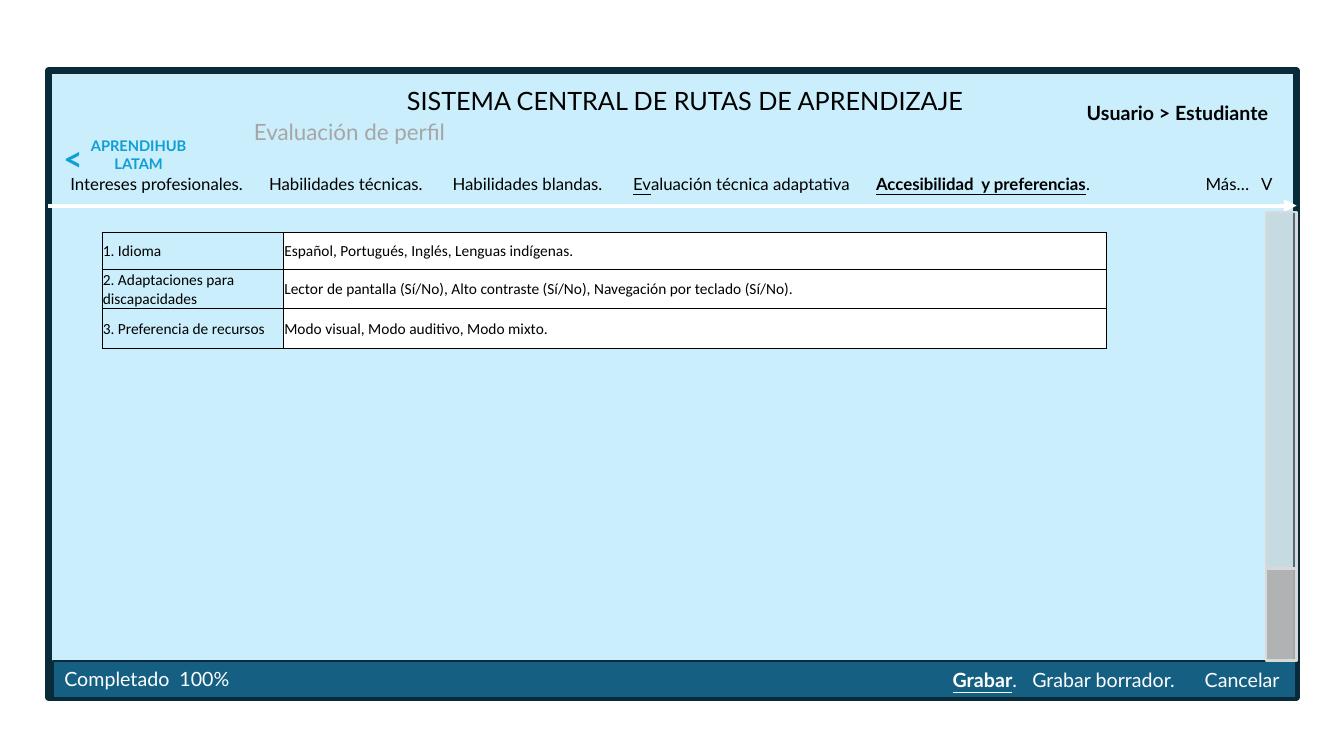
"""Build the accessibility and preferences screen of the learning-path system."""
from lxml import etree
from pptx import Presentation
from pptx.dml.color import RGBColor
from pptx.enum.shapes import MSO_CONNECTOR, MSO_SHAPE
from pptx.enum.text import MSO_ANCHOR, PP_ALIGN
from pptx.oxml.ns import qn
from pptx.util import Inches, Pt

RECTANGLE = MSO_SHAPE.RECTANGLE
STRAIGHT = MSO_CONNECTOR.STRAIGHT
LEFT, CENTER = PP_ALIGN.LEFT, PP_ALIGN.CENTER
MIDDLE = MSO_ANCHOR.MIDDLE

BLACK, WHITE, GREY, CYAN = "000000", "FFFFFF", "A6A6A6", "0F9ED5"
NAVY, SKY, TEAL = "092A39", "CAEEFB", "156082"
PLAIN, BOLD, UNDERLINE, STRONG = (False, False), (True, False), (False, True), (True, True)

FRAME = (0.48, 0.7, 12.38, 6.22)
RULE_Y = 2.04
FOOTER_BAR = (0.53, 6.56, 12.32, 0.37)
SCROLL_TRACK = (12.56, 2.1, 0.3, 4.46)
SCROLL_THUMB = (12.56, 5.64, 0.3, 0.91)

HEADER_LABELS = [
    ((2.62, 0.8, 8.35, 0.4), 18, BLACK, CENTER, [],
     [[("SISTEMA CENTRAL DE RUTAS DE APRENDIZAJE", PLAIN)]]),
    ((0.6, 1.31, 1.55, 0.47), 10.5, CYAN, CENTER, [],
     [[("APRENDIHUB", BOLD)], [("LATAM", BOLD)]]),
    ((0.6, 1.67, 11.29, 0.3), 12, BLACK, LEFT, [1.97, 3.79, 5.58, 7.99],
     [[("Intereses profesionales.\tHabilidades técnicas.\tHabilidades blandas.\t", PLAIN),
       ("Ev", UNDERLINE), ("aluación técnica adaptativa\t", PLAIN),
       ("Accesibilidad  y preferencias", STRONG), (".", PLAIN)]]),
    ((11.86, 1.67, 0.87, 0.3), 12, BLACK, LEFT, [0.55], [[("Más…\tV", PLAIN)]]),
    ((2.42, 1.12, 2.52, 0.37), 16, GREY, LEFT, [], [[("Evaluación de perfil", PLAIN)]]),
    ((10.68, 0.95, 2.05, 0.34), 14, BLACK, LEFT, [], [[("Usuario > Estudiante", BOLD)]]),
    ((0.53, 1.32, 0.36, 0.5), 24, CYAN, CENTER, [], [[("<", BOLD)]]),
]
FOOTER_LABELS = [
    ((9.35, 6.58, 3.84, 0.34), 14, WHITE, LEFT, [0.79, 2.5],
     [[("Grabar", STRONG), (".\tGrabar borrador.\tCancelar", PLAIN)]]),
    ((0.54, 6.57, 3.84, 0.34), 14, WHITE, LEFT, [], [[("Completado  100%", PLAIN)]]),
]

PREFERENCES_AT = (1.01, 2.3)
COLUMN_WIDTHS = [1.8, 8.16]
ROW_HEIGHTS = [0.37, 0.39, 0.4]
PREFERENCES = [
    ("1. Idioma", "Español, Portugués, Inglés, Lenguas indígenas."),
    ("2. Adaptaciones para discapacidades",
     "Lector de pantalla (Sí/No), Alto contraste (Sí/No), Navegación por teclado (Sí/No)."),
    ("3. Preferencia de recursos", "Modo visual, Modo auditivo, Modo mixto."),
]


def paint(color_format, value):
    color_format.rgb = RGBColor.from_string(value)


def style_run(run, font, size, color, bold=False, underline=False):
    run.font.name, run.font.size = font, Pt(size)
    run.font.bold, run.font.underline = bold, underline
    paint(run.font.color, color)


def add_panel(slide, place, fill, line, line_width, opacity=100):
    panel = slide.shapes.add_shape(RECTANGLE, *map(Inches, place))
    panel.shadow.inherit = False
    panel.fill.solid()
    paint(panel.fill.fore_color, fill)
    paint(panel.line.color, line)
    panel.line.width = Pt(line_width)
    if opacity < 100:
        tint = panel.fill._xPr.find(qn("a:solidFill"))[0]
        etree.SubElement(tint, qn("a:alpha"), val=str(opacity * 1000))


def add_label(slide, place, size, color, align, tab_stops, lines):
    frame = slide.shapes.add_textbox(*map(Inches, place)).text_frame
    frame.word_wrap = True
    for index, pieces in enumerate(lines):
        paragraph = frame.add_paragraph() if index else frame.paragraphs[0]
        paragraph.alignment = align
        if tab_stops:
            tabs = etree.SubElement(paragraph._p.get_or_add_pPr(), qn("a:tabLst"))
            for stop in tab_stops:
                etree.SubElement(tabs, qn("a:tab"), pos=str(Inches(stop)), algn="l")
        for text, (bold, underline) in pieces:
            run = paragraph.add_run()
            run.text = text
            style_run(run, "Lato", size, color, bold, underline)


def add_rule(slide):
    left, _, width, _ = FRAME
    ends = (left, RULE_Y, left + width, RULE_Y)
    rule = slide.shapes.add_connector(STRAIGHT, *map(Inches, ends))
    paint(rule.line.color, WHITE)
    rule.line.width = Pt(3)
    etree.SubElement(rule.line._get_or_add_ln(), qn("a:tailEnd"), type="triangle")
    etree.SubElement(rule._element.spPr, qn("a:effectLst"))


def add_borders(cell):
    properties = cell._tc.get_or_add_tcPr()
    for side in ("a:lnL", "a:lnR", "a:lnT", "a:lnB"):
        border = etree.SubElement(properties, qn(side), w=str(Pt(0.5)))
        fill = etree.SubElement(border, qn("a:solidFill"))
        etree.SubElement(fill, qn("a:srgbClr"), val=BLACK)


def add_preferences(slide):
    place = (*PREFERENCES_AT, sum(COLUMN_WIDTHS), sum(ROW_HEIGHTS))
    table = slide.shapes.add_table(
        len(PREFERENCES), len(COLUMN_WIDTHS), *map(Inches, place)).table
    table.first_row = table.horz_banding = False
    for column, width in zip(table.columns, COLUMN_WIDTHS):
        column.width = Inches(width)
    for row, height, texts in zip(table.rows, ROW_HEIGHTS, PREFERENCES):
        row.height = Inches(height)
        for index, (cell, text) in enumerate(zip(row.cells, texts)):
            cell.margin_left = cell.margin_right = cell.margin_top = Inches(0.01)
            cell.margin_bottom = 0
            cell.vertical_anchor = MIDDLE
            add_borders(cell)
            if index:
                cell.fill.solid()
                paint(cell.fill.fore_color, WHITE)
            else:
                cell.fill.background()
            cell.text_frame.text = text
            style_run(cell.text_frame.paragraphs[0].runs[0], "Calibri", 11, BLACK)


def main():
    deck = Presentation()
    deck.slide_width, deck.slide_height = Inches(13.33), Inches(7.5)
    slide = deck.slides.add_slide(deck.slide_layouts[6])
    add_panel(slide, FRAME, SKY, NAVY, 4.5)
    add_rule(slide)
    for label in HEADER_LABELS:
        add_label(slide, *label)
    add_preferences(slide)
    add_panel(slide, FOOTER_BAR, TEAL, NAVY, 1.5)
    for label in FOOTER_LABELS:
        add_label(slide, *label)
    add_panel(slide, SCROLL_TRACK, "BFBFBF", "D9D9D9", 1.5, 42)
    add_panel(slide, SCROLL_THUMB, "AEAEAE", "D9D9D9", 1.5, 89)
    deck.save("out.pptx")


if __name__ == "__main__":
    main()
